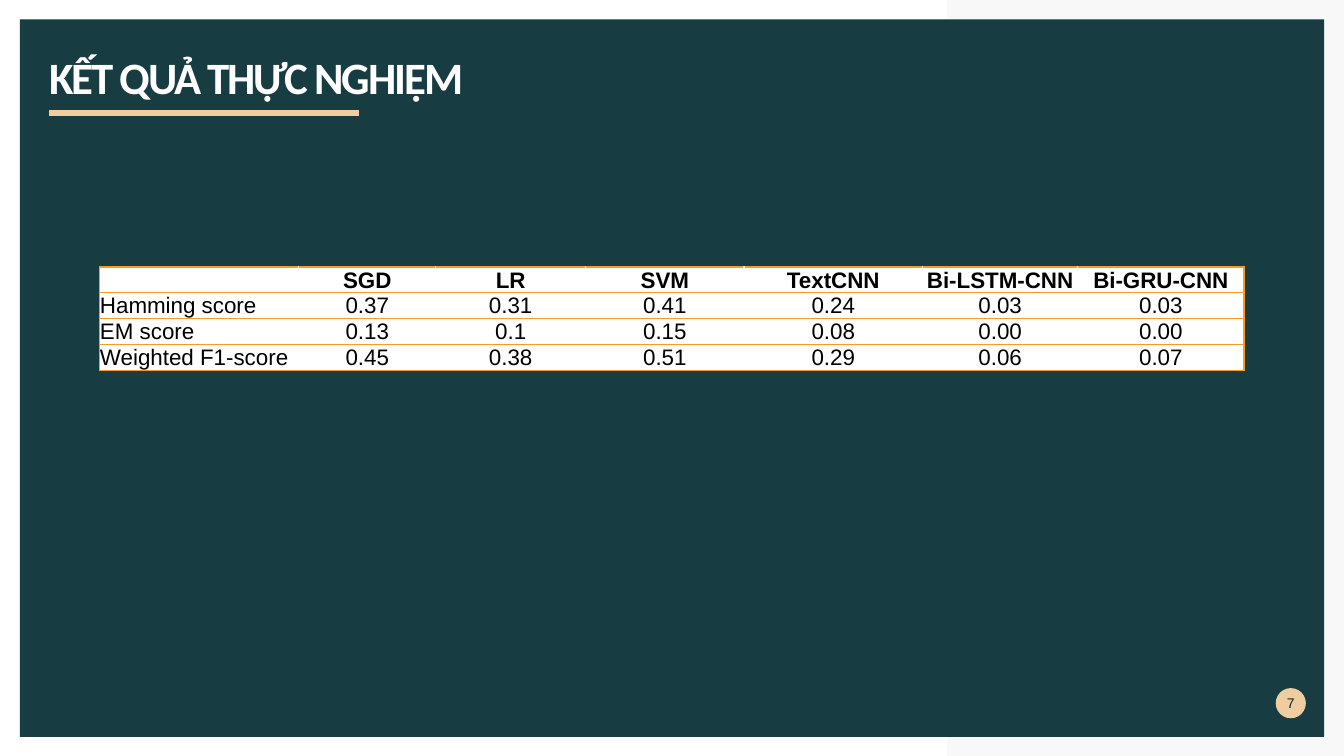
from lxml.etree import SubElement
from pptx import Presentation
from pptx.dml.color import RGBColor
from pptx.enum.shapes import MSO_CONNECTOR, MSO_SHAPE
from pptx.enum.text import MSO_ANCHOR, PP_ALIGN
from pptx.oxml.ns import qn
from pptx.util import Cm, Pt

WHITE = RGBColor(0xFF, 0xFF, 0xFF)
BLACK = RGBColor(0x00, 0x00, 0x00)
PALE_GREY = RGBColor(0xF2, 0xF2, 0xF2)
DARK_TEAL = RGBColor(0x00, 0x29, 0x2E)
SAND = RGBColor(0xF0, 0xCD, 0xA1)
ORANGE = "F99927"


def paint(shape, color, opacity=100):
    shape.shadow.inherit = False
    shape.line.fill.background()
    shape.fill.solid()
    shape.fill.fore_color.rgb = color
    if opacity < 100:
        solid = shape.fill._xPr.find(qn("a:solidFill"))
        SubElement(solid[0], qn("a:alpha"), val=str(opacity * 1000))


def draw_borders(cell, sides):
    properties = cell._tc.get_or_add_tcPr()
    for position, side in enumerate(sides):
        line = properties.makeelement(qn(f"a:ln{side}"), {"w": str(Pt(1))})
        fill = SubElement(line, qn("a:solidFill"))
        SubElement(fill, qn("a:srgbClr"), val=ORANGE)
        properties.insert(position, line)


deck = Presentation()
deck.slide_width, deck.slide_height = Cm(33.87), Cm(19.05)
page = deck.slides.add_slide(deck.slide_layouts[5])
shapes = page.shapes

# Background: grey panel, pale frame on the right, dark panel
panel_area = Cm(0.5), Cm(0.49), Cm(32.87), Cm(18.08)
grey_panel = shapes.add_shape(MSO_SHAPE.RECTANGLE, *panel_area)
paint(grey_panel, PALE_GREY)

left, right, bottom, edge = 23.87, 33.87, 19.05, 0.5
outline = [(right, 0), (right, bottom), (left, bottom), (left, bottom - edge),
           (right - edge, bottom - edge), (right - edge, edge), (left, edge)]
builder = shapes.build_freeform(Cm(left), 0)
builder.add_line_segments([(Cm(x), Cm(y)) for x, y in outline])
paint(builder.convert_to_shape(), PALE_GREY, 50)

dark_panel = shapes.add_shape(MSO_SHAPE.RECTANGLE, *panel_area)
paint(dark_panel, DARK_TEAL, 90)

# Title, brought in front of the panels
title = shapes.title
shapes._spTree.append(title._element)
title.left, title.top, title.width, title.height = Cm(1.24), Cm(1.4), Cm(21), Cm(1.02)
frame = title.text_frame
frame.margin_left = frame.margin_right = frame.margin_top = frame.margin_bottom = 0
frame.vertical_anchor = MSO_ANCHOR.TOP
frame.word_wrap = True
para = frame.paragraphs[0]
para.alignment = PP_ALIGN.LEFT
para.line_spacing = 0.9
span = para.add_run()
span.text = "KẾT QUẢ THỰC NGHIỆM"
span.font.name, span.font.size, span.font.bold = "Calibri", Pt(32), True
span.font.color.rgb = WHITE
span._r.get_or_add_rPr().set("spc", "-150")

# Title underline
underline = shapes.add_connector(MSO_CONNECTOR.STRAIGHT, Cm(1.24), Cm(2.84), Cm(9.05), Cm(2.84))
underline.line.color.rgb = SAND
underline.line.width = Pt(4.32)
SubElement(underline._element.spPr, qn("a:effectLst"))

# Results table
results = [
    ("", "SGD", "LR", "SVM", "TextCNN", "Bi-LSTM-CNN", "Bi-GRU-CNN"),
    ("Hamming score", "0.37", "0.31", "0.41", "0.24", "0.03", "0.03"),
    ("EM score", "0.13", "0.1", "0.15", "0.08", "0.00", "0.00"),
    ("Weighted F1-score", "0.45", "0.38", "0.51", "0.29", "0.06", "0.07"),
]
column_widths = [5.03, 3.45, 3.78, 3.99, 4.5, 3.91, 4.19]
row_height = 0.65
table = shapes.add_table(len(results), len(column_widths), Cm(2.5), Cm(6.73),
                         Cm(sum(column_widths)), Cm(row_height * len(results))).table
table.horz_banding = False
for column, width in zip(table.columns, column_widths):
    column.width = Cm(width)

last_column = len(column_widths) - 1
for row, values in enumerate(results):
    table.rows[row].height = Cm(row_height)
    for column, value in enumerate(values):
        cell = table.cell(row, column)
        cell.text = value
        cell.fill.solid()
        cell.fill.fore_color.rgb = WHITE
        cell.margin_left = cell.margin_right = Cm(0.02)
        cell.margin_top = cell.margin_bottom = 0
        cell.vertical_anchor = MSO_ANCHOR.BOTTOM
        para = cell.text_frame.paragraphs[0]
        para.alignment = PP_ALIGN.CENTER if column else PP_ALIGN.LEFT
        para.font.name, para.font.size = "Arial", Pt(16)
        para.font.bold = row == 0
        para.font.color.rgb = BLACK
        sides = ["L"] * (column == 0) + ["R"] * (column == last_column) + ["T", "B"]
        draw_borders(cell, sides)

# Page number badge
badge = shapes.add_shape(MSO_SHAPE.OVAL, Cm(32.15), Cm(17.34), Cm(0.76), Cm(0.76))
paint(badge, SAND)
frame = badge.text_frame
frame.margin_left = frame.margin_right = frame.margin_top = frame.margin_bottom = 0
frame.vertical_anchor = MSO_ANCHOR.MIDDLE
frame.text = "7"
para = frame.paragraphs[0]
para.alignment = PP_ALIGN.CENTER
para.font.name, para.font.size = "Arial", Pt(10)
para.font.color.rgb = DARK_TEAL

deck.save("out.pptx")
